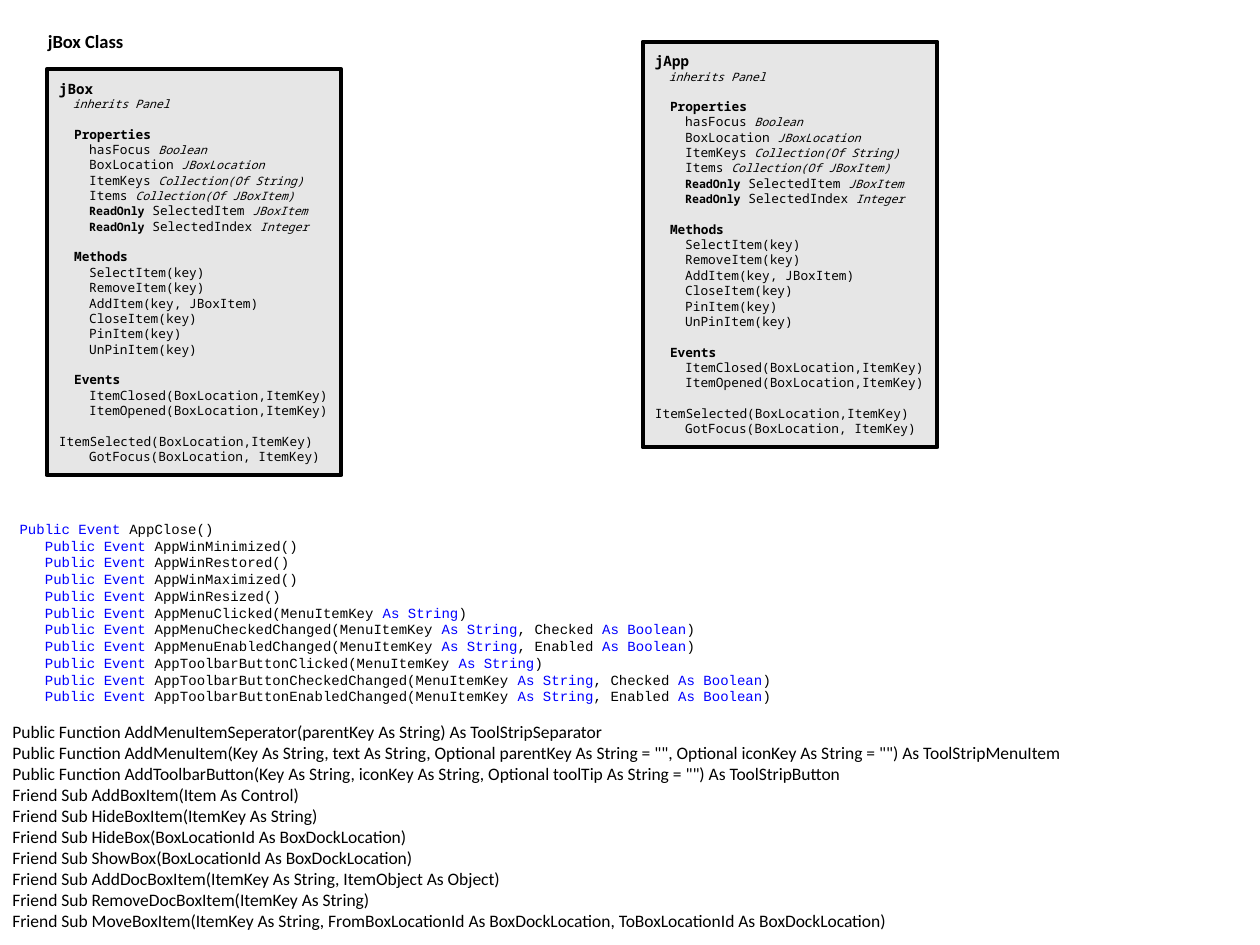
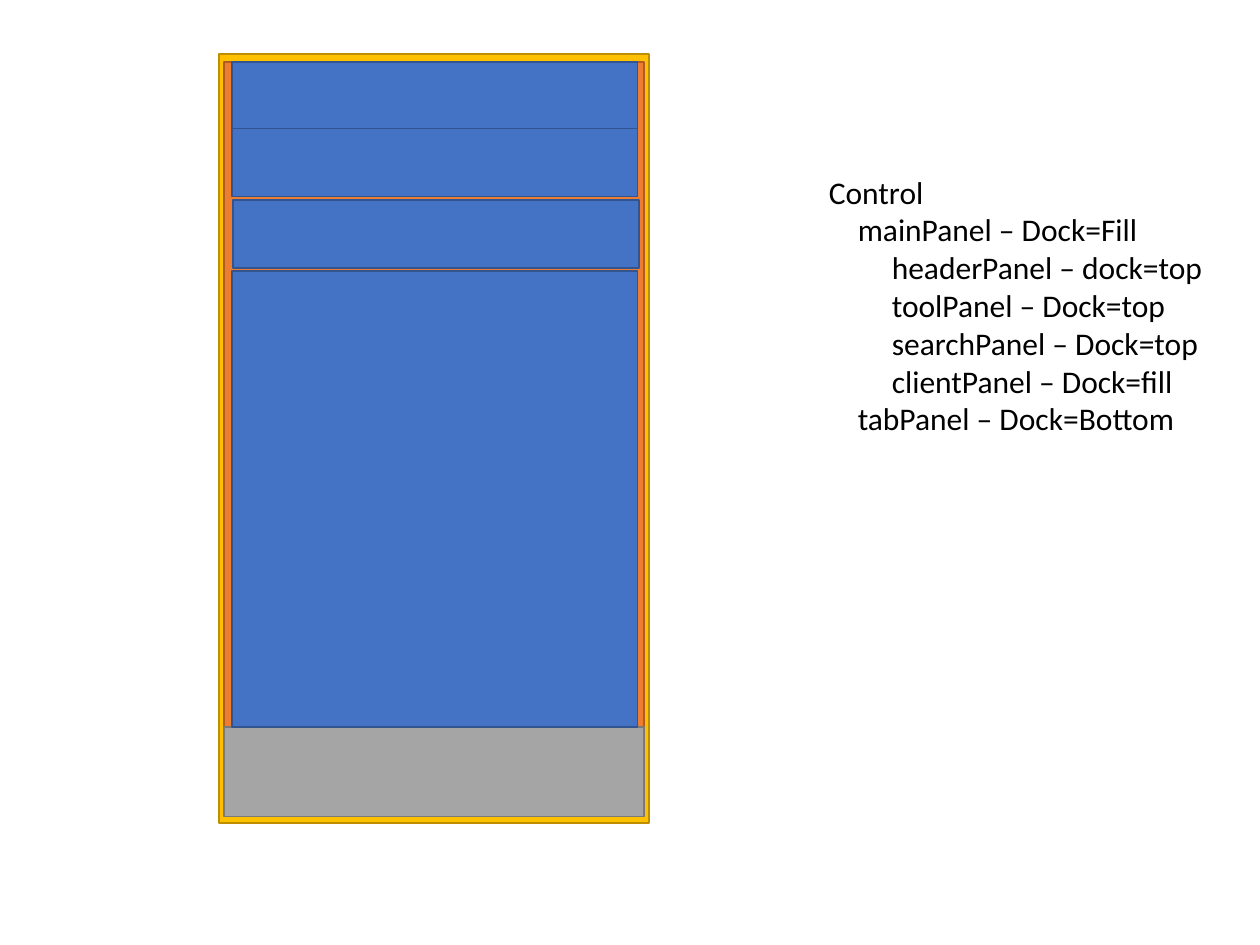
from dataclasses import dataclass
from typing import NamedTuple

from lxml import etree
from pptx import Presentation
from pptx.dml.color import RGBColor
from pptx.enum.shapes import MSO_SHAPE
from pptx.enum.text import MSO_ANCHOR, MSO_AUTO_SIZE, PP_ALIGN
from pptx.oxml.ns import qn
from pptx.util import Inches, Pt

RECTANGLE = MSO_SHAPE.RECTANGLE
TOP, MIDDLE = MSO_ANCHOR.TOP, MSO_ANCHOR.MIDDLE
LEFT = PP_ALIGN.LEFT
NO_AUTOFIT = MSO_AUTO_SIZE.NONE

BLACK = RGBColor(0x00, 0x00, 0x00)
KEYWORD_BLUE = RGBColor(0x00, 0x00, 0xFF)
LIGHT_GRAY = RGBColor(0xD9, 0xD9, 0xD9)
GOLD, GOLD_EDGE = RGBColor(0xFF, 0xC0, 0x00), RGBColor(0xBD, 0x8E, 0x00)
ORANGE, ORANGE_EDGE = RGBColor(0xED, 0x7D, 0x31), RGBColor(0xAF, 0x5C, 0x24)
GRAY, GRAY_EDGE = RGBColor(0xA5, 0xA5, 0xA5), RGBColor(0x7A, 0x7A, 0x7A)
BLUE, BLUE_EDGE = RGBColor(0x44, 0x72, 0xC4), RGBColor(0x32, 0x54, 0x91)

SANS, CODE, MONO = "Calibri", "Courier New", "Noto Sans Mono"
NAME_SIZE, MEMBER_SIZE, TYPE_SIZE = 8.1, 7.3, 6.6
SECTION_GAP = 8.7
SECTION_INDENT, MEMBER_INDENT = 0.12, 0.24


class Span(NamedTuple):
    text: str
    size: float | None = None
    color: RGBColor | None = None
    bold: bool | None = None
    italic: bool | None = None


@dataclass
class Line:
    spans: list[Span]
    size: float
    font: str = SANS
    indent: float = 0
    gap: float = 0


@dataclass
class Panel:
    left: float
    top: float
    width: float
    height: float
    fill: RGBColor
    edge: RGBColor
    edge_width: float = 1


class Property(NamedTuple):
    name: str
    kind: str
    read_only: bool = False


PROPERTIES = [
    Property("hasFocus", "Boolean"),
    Property("BoxLocation", "JBoxLocation"),
    Property("ItemKeys", "Collection(Of String)"),
    Property("Items", "Collection(Of JBoxItem)"),
    Property("SelectedItem", "JBoxItem", True),
    Property("SelectedIndex", "Integer", True),
]
METHODS = ["SelectItem(key)", "RemoveItem(key)", "AddItem(key, JBoxItem)",
           "CloseItem(key)", "PinItem(key)", "UnPinItem(key)"]
EVENTS = ["ItemClosed(BoxLocation,ItemKey)", "ItemOpened(BoxLocation,ItemKey)",
          "ItemSelected(BoxLocation,ItemKey)", "GotFocus(BoxLocation, ItemKey)"]
OUTDENTED_EVENT = EVENTS[2]

WINDOW_EVENTS = ["AppClose", "AppWinMinimized", "AppWinRestored",
                 "AppWinMaximized", "AppWinResized"]
# Event name and its optional Boolean argument
ITEM_EVENTS = [
    ("AppMenuClicked", ""),
    ("AppMenuCheckedChanged", "Checked"),
    ("AppMenuEnabledChanged", "Enabled"),
    ("AppToolbarButtonClicked", ""),
    ("AppToolbarButtonCheckedChanged", "Checked"),
    ("AppToolbarButtonEnabledChanged", "Enabled"),
]
ROUTINES = [
    "Public Function AddMenuItemSeperator(parentKey As String) As ToolStripSeparator",
    'Public Function AddMenuItem(Key As String, text As String, Optional parentKey As String = "", '
    'Optional iconKey As String = "") As ToolStripMenuItem',
    'Public Function AddToolbarButton(Key As String, iconKey As String, '
    'Optional toolTip As String = "") As ToolStripButton',
    "Friend Sub AddBoxItem(Item As Control)",
    "Friend Sub HideBoxItem(ItemKey As String)",
    "Friend Sub HideBox(BoxLocationId As BoxDockLocation)",
    "Friend Sub ShowBox(BoxLocationId As BoxDockLocation)",
    "Friend Sub AddDocBoxItem(ItemKey As String, ItemObject As Object)",
    "Friend Sub RemoveDocBoxItem(ItemKey As String)",
    "Friend Sub MoveBoxItem(ItemKey As String, FromBoxLocationId As BoxDockLocation, "
    "ToBoxLocationId As BoxDockLocation)",
]
# Indent in inches and label
CONTROL_TREE = [
    (0, "Control"),
    (0.23, "mainPanel – Dock=Fill"),
    (0.5, "headerPanel – dock=top"),
    (0.5, "toolPanel – Dock=top"),
    (0.5, "searchPanel – Dock=top"),
    (0.5, "clientPanel – Dock=fill"),
    (0.23, "tabPanel – Dock=Bottom"),
]


def write_lines(frame, lines: list[Line], anchor=TOP, wrap: bool = True) -> None:
    frame.word_wrap = wrap
    frame.auto_size = NO_AUTOFIT
    frame.vertical_anchor = anchor
    for index, line in enumerate(lines):
        paragraph = frame.paragraphs[0] if index == 0 else frame.add_paragraph()
        paragraph.alignment = LEFT
        paragraph.space_before = Pt(line.gap)
        if line.indent:
            paragraph._p.get_or_add_pPr().set("marL", str(Inches(line.indent)))
        paragraph.font.name = line.font
        paragraph.font.size = Pt(line.size)
        paragraph.font.color.rgb = BLACK
        for span in line.spans:
            run = paragraph.add_run()
            run.text = span.text
            if span.size:
                run.font.size = Pt(span.size)
            if span.color is not None:
                run.font.color.rgb = span.color
            if span.bold is not None:
                run.font.bold = span.bold
            if span.italic is not None:
                run.font.italic = span.italic


def add_text(slide, left: float, top: float, width: float, height: float,
             lines: list[Line]) -> None:
    box = slide.shapes.add_textbox(Inches(left), Inches(top), Inches(width), Inches(height))
    write_lines(box.text_frame, lines)


def add_panel(slide, panel: Panel):
    box = slide.shapes.add_shape(RECTANGLE, Inches(panel.left), Inches(panel.top),
                                 Inches(panel.width), Inches(panel.height))
    box.shadow.inherit = False
    box.fill.solid()
    box.fill.fore_color.rgb = panel.fill
    box.line.color.rgb = panel.edge
    box.line.width = Pt(panel.edge_width)
    return box


def section_lines(heading: str, members: list[Line]) -> list[Line]:
    title = Line([Span(heading, bold=True)], MEMBER_SIZE, MONO, SECTION_INDENT, SECTION_GAP)
    return [title, *members]


def member_line(*spans: Span) -> Line:
    return Line(list(spans), MEMBER_SIZE, MONO, MEMBER_INDENT)


def property_line(item: Property) -> Line:
    kind = Span(item.kind, TYPE_SIZE, italic=True)
    if item.read_only:
        return member_line(Span("ReadOnly", TYPE_SIZE, bold=True), Span(f" {item.name} "), kind)
    return member_line(Span(f"{item.name} "), kind)


def event_line(event: str) -> Line:
    line = member_line(Span(event))
    if event == OUTDENTED_EVENT:
        line.indent, line.gap = 0, SECTION_GAP
    return line


def add_class_box(slide, name: str, left: float, top: float) -> None:
    box = add_panel(slide, Panel(left, top, 2.34, 3.22, LIGHT_GRAY, BLACK, 2.25))
    color = box.fill._xPr.find(qn("a:solidFill"))[0]
    etree.SubElement(color, qn("a:alpha")).set("val", "64000")
    lines = [
        Line([Span(name, bold=True)], NAME_SIZE, MONO),
        Line([Span("inherits Panel", italic=True)], TYPE_SIZE, MONO, 0.11),
        *section_lines("Properties", [property_line(item) for item in PROPERTIES]),
        *section_lines("Methods", [member_line(Span(method)) for method in METHODS]),
        *section_lines("Events", [event_line(event) for event in EVENTS]),
    ]
    write_lines(box.text_frame, lines, MIDDLE)


def declaration(lead: str, *parts: str) -> Line:
    """Plain and keyword parts take turns after the opening keywords."""
    spans = [Span(lead), Span("Public Event ", color=KEYWORD_BLUE)]
    for index, part in enumerate(parts):
        spans.append(Span(part, color=KEYWORD_BLUE if index % 2 else BLACK))
    return Line(spans, 8, CODE)


def event_declarations() -> list[Line]:
    lines = [declaration("    " if index else " ", f"{name}()")
             for index, name in enumerate(WINDOW_EVENTS)]
    for name, flag in ITEM_EVENTS:
        flag_parts = [f", {flag} ", "As Boolean"] if flag else []
        lines.append(declaration("    ", f"{name}(MenuItemKey ", "As String", *flag_parts, ")"))
    return lines


def build_class_slide(deck) -> None:
    slide = deck.slides.add_slide(deck.slide_layouts[5])
    title = slide.shapes.title
    title.left, title.top = Inches(0.28), Inches(0.19)
    title.width, title.height = Inches(0.81), Inches(0.28)
    write_lines(title.text_frame, [Line([Span("jBox Class", bold=True)], 10.6)], wrap=False)

    add_class_box(slide, "jBox", 0.37, 0.55)
    add_class_box(slide, "jApp", 5.1, 0.33)
    add_text(slide, -0.01, 4.08, 7.77, 1.58, event_declarations())
    add_text(slide, 0, 5.67, 9.74, 1.78, [Line([Span(text)], 10) for text in ROUTINES])


def build_layout_slide(deck) -> None:
    slide = deck.slides.add_slide(deck.slide_layouts[6])
    # Control, main panel and tab panel
    panels = [
        Panel(1.74, 0.43, 3.41, 6.1, GOLD, GOLD_EDGE),
        Panel(1.78, 0.49, 3.33, 5.28, ORANGE, ORANGE_EDGE),
        Panel(1.78, 5.77, 3.33, 0.71, GRAY, GRAY_EDGE),
    ]
    # Header, tool, search and client panels
    for left, top, height in [(1.84, 0.49, 0.54), (1.84, 1.02, 0.54),
                              (1.85, 1.59, 0.54), (1.84, 2.15, 3.62)]:
        panels.append(Panel(left, top, 3.22, height, BLUE, BLUE_EDGE))
    for panel in panels:
        add_panel(slide, panel)

    add_text(slide, 6.48, 1.32, 3.2, 2.22,
             [Line([Span(label)], 18, indent=indent) for indent, label in CONTROL_TREE])


def main() -> None:
    deck = Presentation()
    deck.slide_width, deck.slide_height = Inches(10), Inches(7.5)
    build_class_slide(deck)
    build_layout_slide(deck)
    deck.save("out.pptx")


if __name__ == "__main__":
    main()
